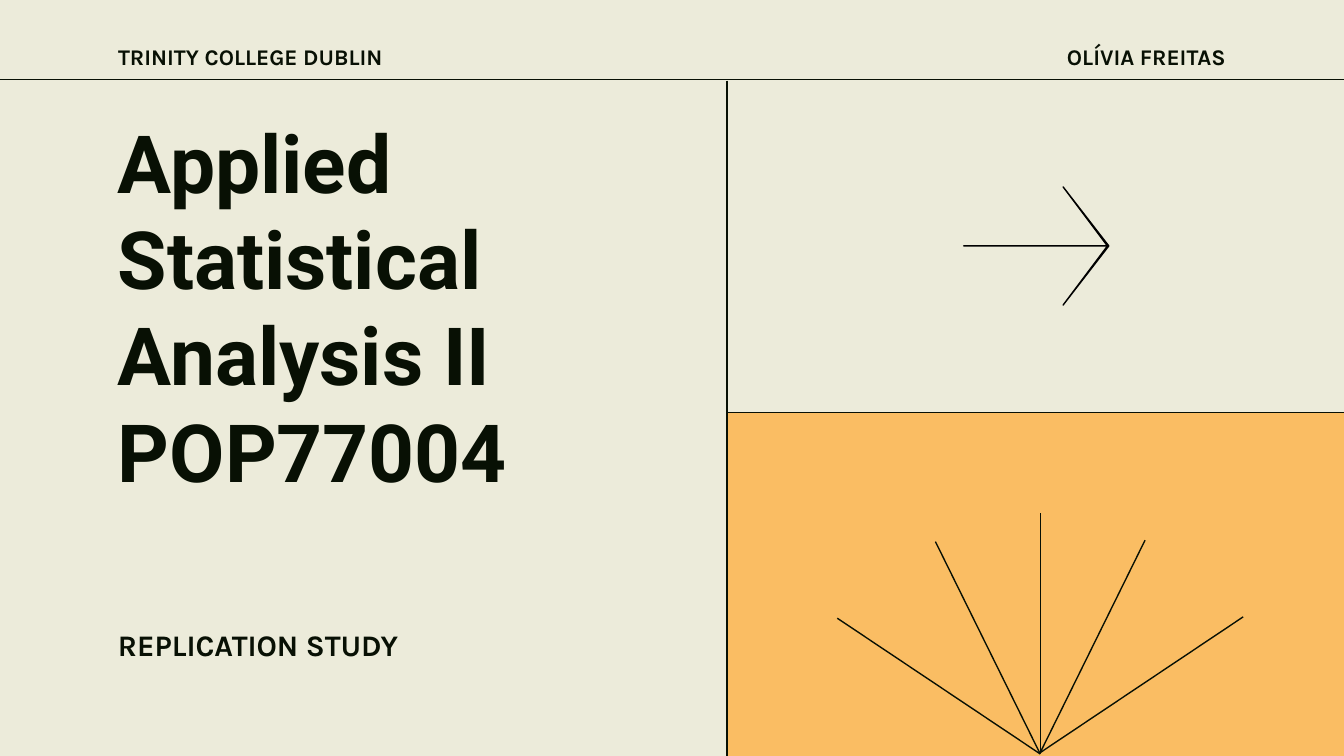
from lxml import etree
from pptx import Presentation
from pptx.dml.color import RGBColor
from pptx.enum import shapes, text
from pptx.oxml import ns
from pptx.util import Inches, Pt

CREAM = RGBColor(0xEC, 0xEB, 0xDA)
INK = RGBColor(0x08, 0x10, 0x04)
ORANGE = RGBColor(0xFA, 0xBD, 0x63)
BLACK = RGBColor(0, 0, 0)

ANCHOR, ALIGN = text.MSO_ANCHOR, text.PP_ALIGN
WIDTH = 10
HEIGHT = WIDTH * 9 / 16
SPLIT_X, SPLIT_Y = 5.41, 3.07


def add_text(lines, box, font_name, size, anchor, alignment=ALIGN.LEFT):
    shape = slide.shapes.add_textbox(*map(Inches, box))
    frame = shape.text_frame
    frame.word_wrap = True
    frame.vertical_anchor = anchor
    frame.margin_left = frame.margin_right = Inches(0.1)
    frame.margin_top = frame.margin_bottom = Inches(0.1)
    frame.text = "\n".join(lines)
    for paragraph in frame.paragraphs:
        paragraph.alignment = alignment
        paragraph.font.name = font_name
        paragraph.font.size = Pt(size)
        paragraph.font.bold = True
        paragraph.font.color.rgb = INK


def add_line(start_x, start_y, end_x, end_y):
    line = slide.shapes.add_connector(
        shapes.MSO_CONNECTOR.STRAIGHT,
        Inches(start_x), Inches(start_y), Inches(end_x), Inches(end_y))
    line.line.color.rgb = INK
    line.line.width = Pt(0.75)
    etree.SubElement(line._element.spPr, ns.qn("a:effectLst"))


presentation = Presentation()
presentation.slide_width = Inches(WIDTH)
presentation.slide_height = Inches(HEIGHT)
slide = presentation.slides.add_slide(presentation.slide_layouts[6])
slide.background.fill.solid()
slide.background.fill.fore_color.rgb = CREAM

add_line(-0.01, 0.59, WIDTH, 0.59)
add_text(["Applied", "Statistical", "Analysis II", "POP77004"],
         (0.78, 0.74, 4.33, 3.08), "Roboto", 43, ANCHOR.TOP)
add_text(["REPLICATION STUDY"], (0.78, 4.58, 4.33, 0.45), "Karla", 16, ANCHOR.BOTTOM)

panel = slide.shapes.add_shape(
    shapes.MSO_SHAPE.RECTANGLE, Inches(SPLIT_X), Inches(SPLIT_Y),
    Inches(WIDTH - SPLIT_X), Inches(HEIGHT - SPLIT_Y))
panel.shadow.inherit = False
panel.fill.solid()
panel.fill.fore_color.rgb = ORANGE
panel.line.fill.background()

add_text(["TRINITY COLLEGE DUBLIN"], (0.78, 0.25, 2.52, 0.34), "Karla", 12, ANCHOR.MIDDLE)
add_text(["OLÍVIA FREITAS"], (7.41, 0.25, 1.81, 0.34), "Karla", 12, ANCHOR.MIDDLE, ALIGN.RIGHT)

add_line(SPLIT_X, 0.6, SPLIT_X, HEIGHT)
add_line(SPLIT_X, SPLIT_Y, WIDTH, SPLIT_Y)

builder = slide.shapes.build_freeform(Inches(7.91), Inches(1.39))
arrow_points = [(8.24, 1.83), (7.17, 1.83), (8.24, 1.83), (7.91, 2.27), (8.25, 1.83)]
builder.add_line_segments([(Inches(x), Inches(y)) for x, y in arrow_points], close=True)
arrow = builder.convert_to_shape()
arrow.shadow.inherit = False
arrow.fill.solid()
arrow.fill.fore_color.rgb = BLACK
arrow.line.color.rgb = BLACK
arrow.line.width = Pt(0.75)

for offset_x, rise in [(0, 1.78), (1.51, 1.01), (0.78, 1.58)]:
    add_line(7.74, 5.6, 7.74 + offset_x, 5.6 - rise)
    if offset_x:
        add_line(7.74, 5.61, 7.74 - offset_x, 5.61 - rise)

presentation.save("out.pptx")
